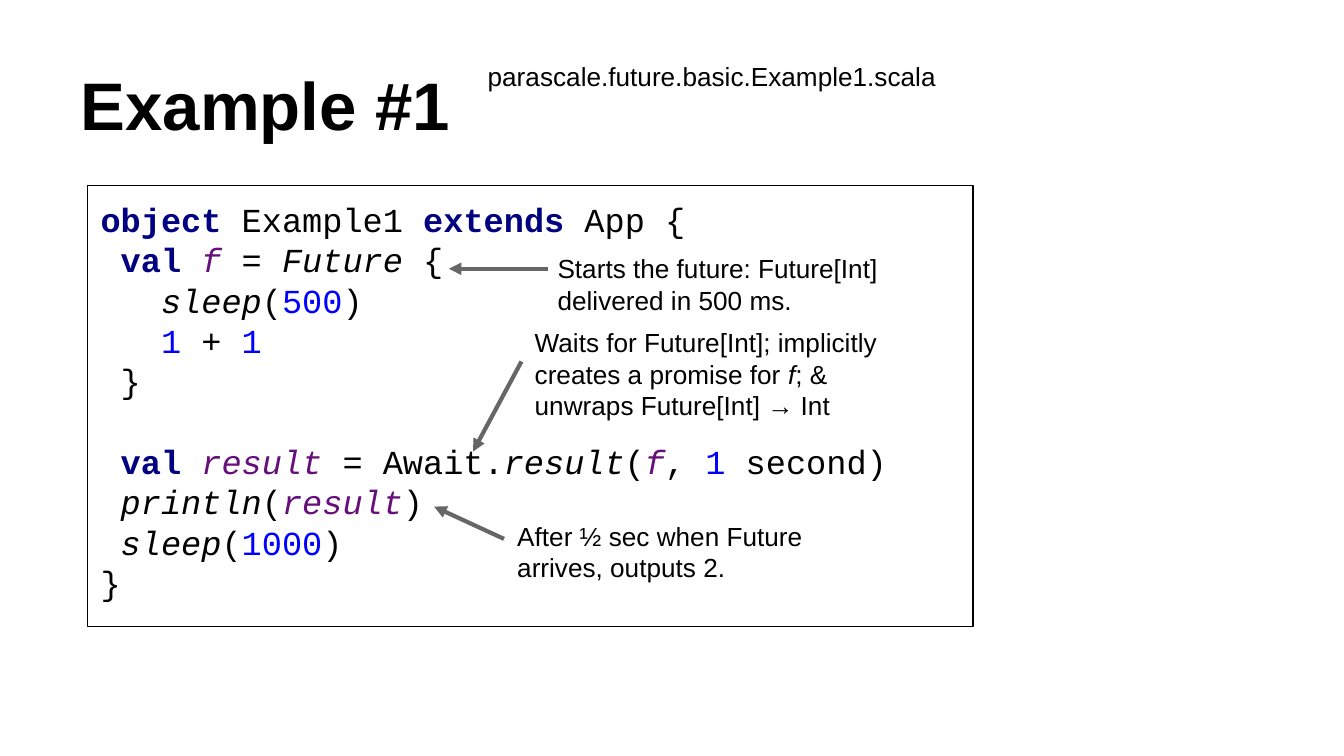
from typing import NamedTuple

import pptx
import pptx.dml.color
import pptx.enum.shapes
import pptx.enum.text
import pptx.oxml.ns
import pptx.util
from lxml import etree

Inches = pptx.util.Inches
Pt = pptx.util.Pt
RGBColor = pptx.dml.color.RGBColor

BLACK = RGBColor(0x00, 0x00, 0x00)
NAVY = RGBColor(0x00, 0x00, 0x80)
PURPLE = RGBColor(0x66, 0x0E, 0x7A)
BLUE = RGBColor(0x00, 0x00, 0xFF)
GRAY = RGBColor(0x66, 0x66, 0x66)

CHAR_WIDTH = 0.15  # one 18 pt Courier New character, in inches
CODE_LINE = 21.6   # height of one code line, in points


class Style(NamedTuple):
    color: RGBColor = BLACK
    bold: bool = False
    italic: bool = False


PLAIN = Style()
KEYWORD = Style(NAVY, bold=True)
VALUE = Style(PURPLE, italic=True)
CALL = Style(italic=True)
NUMBER = Style(BLUE)


class Span(NamedTuple):
    text: str
    style: Style = PLAIN


class CodeLine(NamedTuple):
    indent: int
    spans: list[Span]
    lines_before: int = 0


class Note(NamedTuple):
    left: float
    top: float
    width: float
    height: float
    spans: list[Span]


class Arrow(NamedTuple):
    x1: float
    y1: float
    x2: float
    y2: float


CODE = [
    CodeLine(0, [Span("object ", KEYWORD), Span("Example1 "),
                 Span("extends ", KEYWORD), Span("App {")]),
    CodeLine(1, [Span("val ", KEYWORD), Span("f ", VALUE), Span("= "),
                 Span("Future ", CALL), Span("{")]),
    CodeLine(3, [Span("sleep", CALL), Span("("), Span("500", NUMBER), Span(")")]),
    CodeLine(3, [Span("1 ", NUMBER), Span("+ "), Span("1", NUMBER)]),
    CodeLine(1, [Span("}")]),
    CodeLine(1, [Span("val ", KEYWORD), Span("result ", VALUE), Span("= Await."),
                 Span("result", CALL), Span("("), Span("f", VALUE), Span(", "),
                 Span("1 ", NUMBER), Span("second)")], lines_before=1),
    CodeLine(1, [Span("println", CALL), Span("("), Span("result", VALUE), Span(")")]),
    CodeLine(1, [Span("sleep", CALL), Span("("), Span("1000", NUMBER), Span(")")]),
    CodeLine(0, [Span("}")]),
]

NOTES = [
    Note(3.88, 2.33, 3.08, 0.94, [
        Span("Waits for Future[Int]; implicitly creates a promise for "),
        Span("f", CALL), Span("; & unwraps Future[Int] → Int")]),
    Note(4.05, 1.78, 3.01, 0.61, [
        Span("Starts the future: Future[Int] delivered in 500 ms.")]),
    Note(3.75, 3.77, 2.61, 0.61, [
        Span("After ½ sec when Future arrives, outputs 2.")]),
    Note(3.53, 0.35, 4.05, 0.47, [Span("parascale.future.basic.Example1.scala")]),
]

ARROWS = [
    Arrow(3.88, 2.69, 3.52, 3.36),
    Arrow(4.08, 2, 3.34, 2),
    Arrow(3.75, 4.01, 3.23, 3.77),
]


def setup_frame(tf, anchor=pptx.enum.text.MSO_ANCHOR.TOP) -> None:
    tf.word_wrap = True
    tf.auto_size = pptx.enum.text.MSO_AUTO_SIZE.NONE
    tf.vertical_anchor = anchor
    tf.margin_left = tf.margin_right = Inches(0.1)
    tf.margin_top = tf.margin_bottom = Inches(0.1)


def add_spans(p, spans: list[Span], font: str, size: float) -> None:
    p.alignment = pptx.enum.text.PP_ALIGN.LEFT
    for span in spans:
        r = p.add_run()
        r.text = span.text
        r.font.name = font
        r.font.size = Pt(size)
        r.font.color.rgb = span.style.color
        r.font.bold = span.style.bold
        r.font.italic = span.style.italic


def add_title(s, text: str) -> None:
    sp = s.shapes.title
    sp.left, sp.top = Inches(0.5), Inches(0.23)
    sp.width, sp.height = Inches(9), Inches(0.94)
    setup_frame(sp.text_frame, pptx.enum.text.MSO_ANCHOR.BOTTOM)
    add_spans(sp.text_frame.paragraphs[0], [Span(text, Style(bold=True))], "Arial", 36)


def add_code(s, lines: list[CodeLine]) -> None:
    sp = s.shapes.add_shape(pptx.enum.shapes.MSO_SHAPE.RECTANGLE,
                            Inches(0.65), Inches(1.38), Inches(6.59), Inches(3.28))
    sp.shadow.inherit = False
    sp.fill.background()
    sp.line.color.rgb = BLACK
    sp.line.width = Pt(0.75)
    tf = sp.text_frame
    setup_frame(tf)
    for i, line in enumerate(lines):
        p = tf.add_paragraph() if i else tf.paragraphs[0]
        p.space_before = Pt(line.lines_before * CODE_LINE)
        pPr = p._p.get_or_add_pPr()
        pPr.set("marL", str(Inches(line.indent * CHAR_WIDTH)))
        pPr.set("indent", "0")
        add_spans(p, line.spans, "Courier New", 18)


def add_note(s, note: Note) -> None:
    sp = s.shapes.add_textbox(Inches(note.left), Inches(note.top),
                              Inches(note.width), Inches(note.height))
    setup_frame(sp.text_frame)
    add_spans(sp.text_frame.paragraphs[0], note.spans, "Arial", 14)


def add_arrow(s, arrow: Arrow) -> None:
    line = s.shapes.add_connector(pptx.enum.shapes.MSO_CONNECTOR.STRAIGHT,
                                  Inches(arrow.x1), Inches(arrow.y1),
                                  Inches(arrow.x2), Inches(arrow.y2))
    line.line.color.rgb = GRAY
    line.line.width = Pt(2.25)
    qn = pptx.oxml.ns.qn
    etree.SubElement(line.line._get_or_add_ln(), qn("a:tailEnd"), type="triangle")
    etree.SubElement(line._element.spPr, qn("a:effectLst"))


def main() -> None:
    # 16:9 slide
    prs = pptx.Presentation()
    prs.slide_width = Inches(10)
    prs.slide_height = prs.slide_width * 9 // 16
    s = prs.slides.add_slide(prs.slide_layouts.get_by_name("Title Only"))

    # Title and code listing
    add_title(s, "Example #1")
    add_code(s, CODE)

    # Annotations and the arrows to the code they explain
    for arrow in ARROWS:
        add_arrow(s, arrow)
    for note in NOTES:
        add_note(s, note)

    prs.save("out.pptx")


if __name__ == "__main__":
    main()
